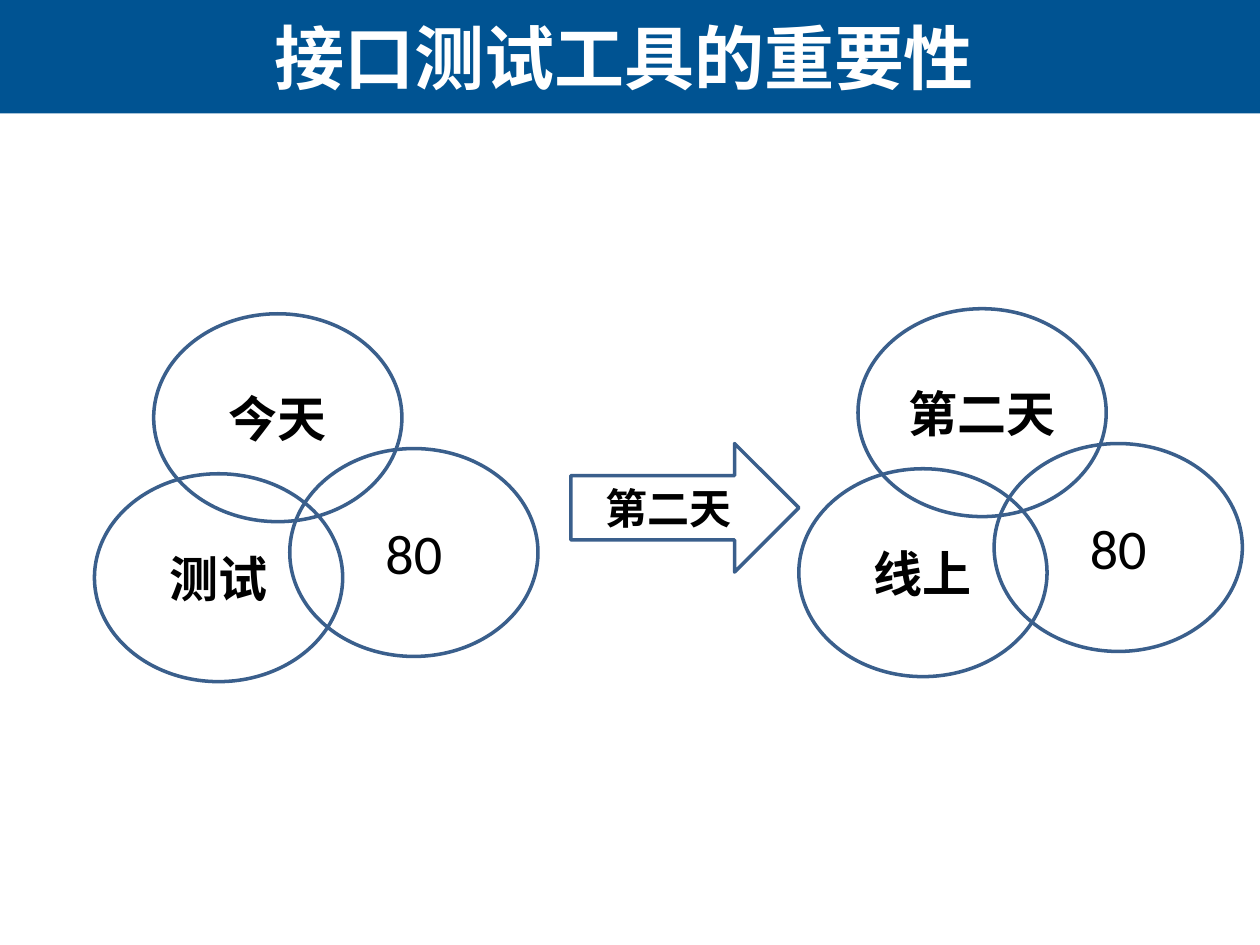
from pptx import Presentation
from pptx.dml.color import RGBColor
from pptx.enum.shapes import MSO_SHAPE as Shape
from pptx.enum.text import MSO_ANCHOR as Anchor, PP_ALIGN as Align
from pptx.util import Inches, Pt

COLORS = {"banner": "005392", "outline": "3A5F8C", "text": "000000", "title": "FFFFFF"}

prs = Presentation()
prs.slide_width, prs.slide_height = Inches(10), Inches(7.5)
W, H = prs.slide_width, prs.slide_height
slide = prs.slides.add_slide(prs.slide_layouts[5])


def write(shape, text, size, color, bold, font):
    frame = shape.text_frame
    frame.word_wrap = True
    frame.vertical_anchor = Anchor.MIDDLE
    paragraph = frame.paragraphs[0]
    paragraph.text = text
    paragraph.alignment = Align.CENTER
    paragraph.font.name = font
    paragraph.font.size = Pt(size)
    paragraph.font.bold = bold
    paragraph.font.color.rgb = RGBColor.from_string(COLORS[color])


def add_outlined(kind, left, top, width, height, text, size, bold=True):
    """Add an unfilled, labelled shape; lengths are in inches."""
    shape = slide.shapes.add_shape(
        kind, Inches(left), Inches(top), Inches(width), Inches(height))
    shape.shadow.inherit = False
    shape.fill.background()
    shape.line.color.rgb = RGBColor.from_string(COLORS["outline"])
    shape.line.width = Pt(2)
    write(shape, text, size, "text", bold, "Calibri")


# Title on a full-width banner
banner_height = int(H * 0.12)
banner = slide.shapes.add_shape(Shape.RECTANGLE, 0, 0, W, banner_height)
banner.shadow.inherit = False
banner.fill.solid()
banner.fill.fore_color.rgb = RGBColor.from_string(COLORS["banner"])
banner.line.fill.background()
slide.shapes._spTree.insert(2, banner._element)  # behind the title

title = slide.shapes.title
title.left, title.top = Inches(0.02), 0
title.width, title.height = Inches(9.87), banner_height
write(title, "接口测试工具的重要性", 40, "title", True, "Arial")

# Two clusters of three overlapping circles: day, count, environment
circle_offsets = [(0.47, 0), (1.55, 1.07), (0, 1.27)]
clusters = [
    (0.75, 2.49, ["今天", "80", "测试"]),
    (6.34, 2.45, ["第二天", "80", "线上"]),
]
for left, top, labels in clusters:
    for (dx, dy), label in zip(circle_offsets, labels):
        is_count = label.isdigit()
        add_outlined(Shape.OVAL, left + dx, top + dy, 1.97, 1.65, label,
                     32 if is_count else 28, bold=not is_count)

add_outlined(Shape.RIGHT_ARROW, 4.53, 3.52, 1.81, 1.02, "第二天", 24)

prs.save("out.pptx")
